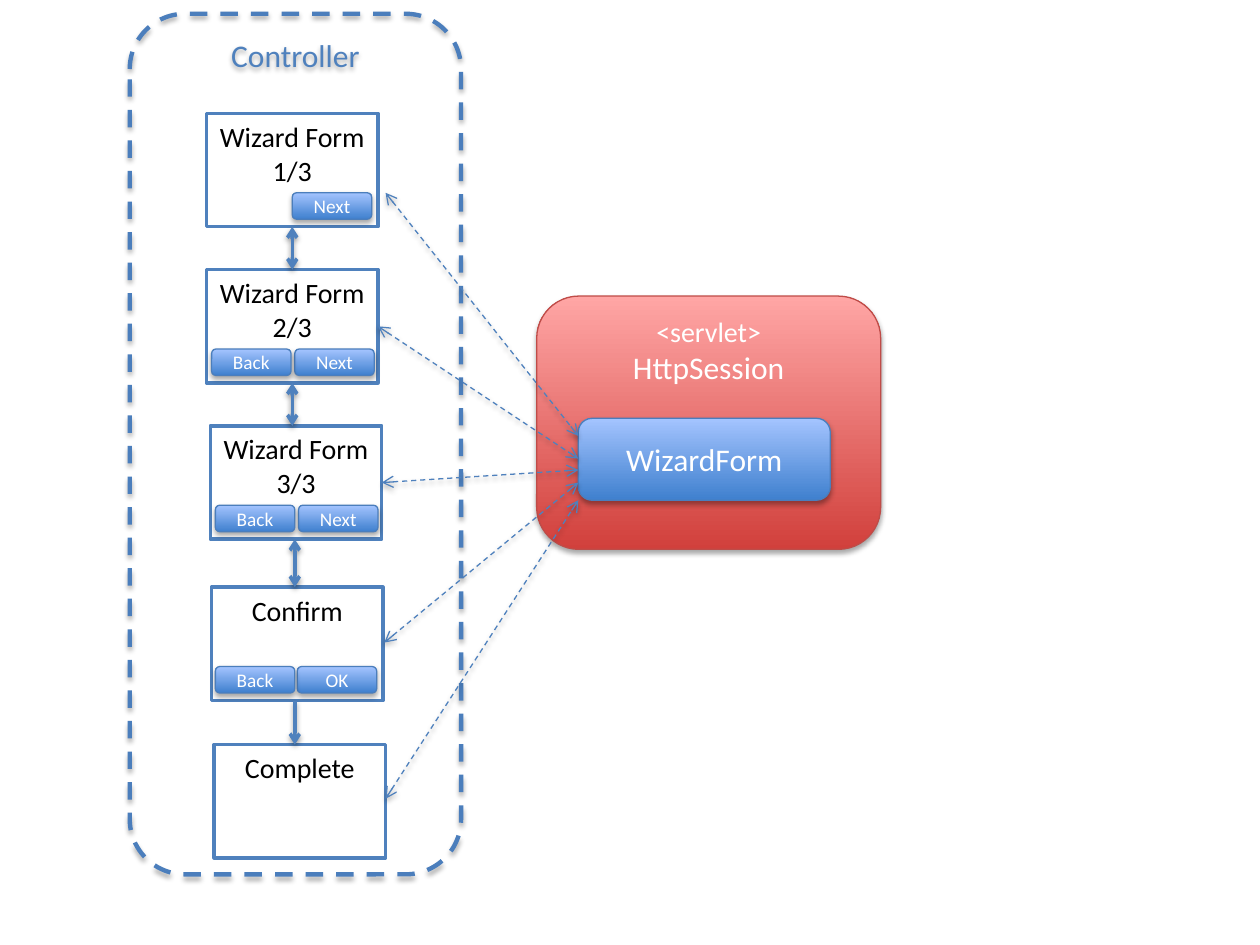
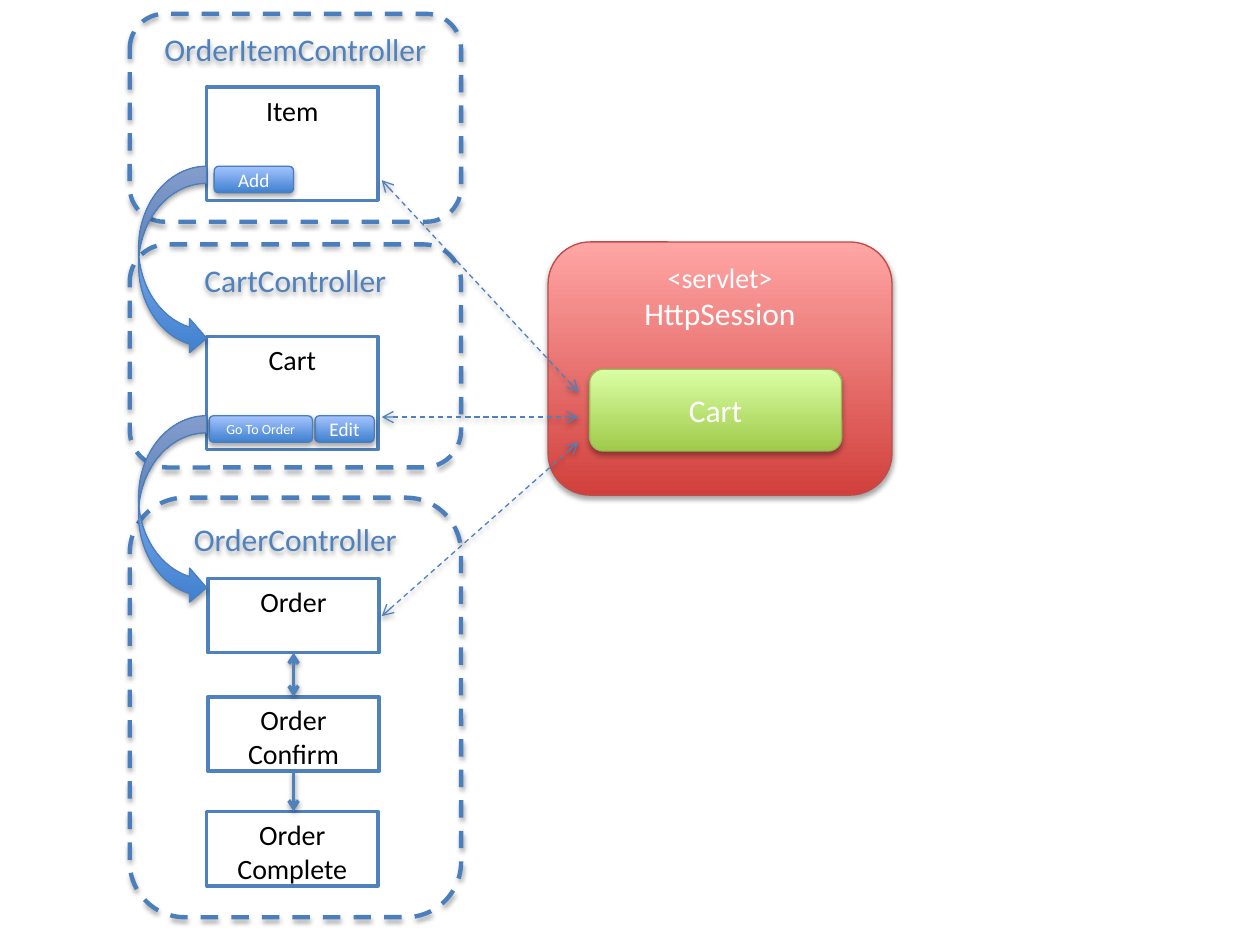
from itertools import pairwise

from lxml.etree import SubElement
from pptx import Presentation
from pptx.dml.color import RGBColor
from pptx.enum.dml import MSO_LINE
from pptx.enum.shapes import MSO_CONNECTOR, MSO_SHAPE
from pptx.enum.text import MSO_ANCHOR as Anchor, PP_ALIGN as Align
from pptx.oxml.ns import qn
from pptx.util import Inches, Pt

BLUE = RGBColor(0x4F, 0x81, 0xBD)
EDGE_BLUE = RGBColor(0x4B, 0x7E, 0xBC)
EDGE_RED = RGBColor(0xBF, 0x4C, 0x48)
EDGE_GREEN = RGBColor(0x98, 0xB9, 0x55)
WHITE = RGBColor(0xFF, 0xFF, 0xFF)
BLACK = RGBColor(0, 0, 0)
BLUES = RGBColor(0x3F, 0x80, 0xCE), RGBColor(0xA4, 0xC4, 0xFF)
REDS = RGBColor(0xD1, 0x40, 0x3C), RGBColor(0xFF, 0xA6, 0xA5)
GREENS = RGBColor(0xA0, 0xCA, 0x4A), RGBColor(0xDA, 0xFF, 0xA5)

FONT = "Calibri"
COLUMNS, ROWS = 100, 75
SCREEN_WIDTH = 13.6


class Diagram:
    def __init__(self):
        self.deck = Presentation()
        self.deck.slide_width = Inches(10)
        self.deck.slide_height = Inches(7.5)
        self.page = None

    def new_page(self):
        self.page = self.deck.slides.add_slide(self.deck.slide_layouts[6])

    def x(self, columns):
        return round(self.deck.slide_width * columns / COLUMNS)

    def y(self, rows):
        return round(self.deck.slide_height * rows / ROWS)

    def cast_shadow(self, effects, distance, opacity):
        shadow = SubElement(effects, qn("a:outerShdw"), blurRad=str(Pt(3.1)),
                            dist=str(Pt(distance)), dir="5400000", rotWithShape="0")
        color = SubElement(shadow, qn("a:srgbClr"), val=str(BLACK))
        SubElement(color, qn("a:alpha"), val=str(opacity * 1000))

    def shape(self, preset, place, edge, weight, fill=None, shadow=True):
        left, top, width, height = place
        box = self.page.shapes.add_shape(
            preset, self.x(left), self.y(top), self.x(width), self.y(height))
        box.line.color.rgb = edge
        box.line.width = Pt(weight)
        if fill is None:
            box.fill.background()
        elif isinstance(fill, RGBColor):
            box.fill.solid()
            box.fill.fore_color.rgb = fill
        else:
            box.fill.gradient()
            box.fill.gradient_angle = 90
            for stop, color in zip(box.fill.gradient_stops, fill):
                stop.color.rgb = color
        box.shadow.inherit = False
        if shadow:
            self.cast_shadow(box._element.spPr.find(qn("a:effectLst")), 1.8, 35)
        return box

    def add_lines(self, box, lines, color, anchor=Anchor.TOP):
        frame = box.text_frame
        frame.word_wrap = True
        frame.vertical_anchor = anchor
        for index, (words, size) in enumerate(lines):
            para = frame.add_paragraph() if index else frame.paragraphs[0]
            para.alignment = Align.CENTER
            span = para.add_run()
            span.text = words
            span.font.name = FONT
            span.font.size = Pt(size)
            span.font.color.rgb = color

    def controller(self, title, top, height):
        box = self.shape(MSO_SHAPE.ROUNDED_RECTANGLE, (10.3, top, 26.3, height), EDGE_BLUE, 2.5)
        box.line.dash_style = MSO_LINE.DASH
        self.add_lines(box, [(title, 18)], BLUE)

    def screen(self, left, top, height, lines):
        box = self.shape(MSO_SHAPE.RECTANGLE, (left, top, SCREEN_WIDTH, height),
                         BLUE, 2, WHITE, shadow=False)
        self.add_lines(box, [(line, 16) for line in lines], BLACK)

    def pill(self, label, place, size, fill=BLUES, edge=EDGE_BLUE):
        box = self.shape(MSO_SHAPE.ROUNDED_RECTANGLE, place, edge, 0.75, fill)
        self.add_lines(box, [(label, size)], WHITE, Anchor.MIDDLE)

    def button(self, label, left, screen_top, width=6.3, size=11):
        self.pill(label, (left, screen_top + 6.3, width, 2.1), size)

    def session(self, left, top, label, label_drop, fill, edge):
        box = self.shape(MSO_SHAPE.ROUNDED_RECTANGLE, (left, top, 27.3, 20.1),
                         EDGE_RED, 0.75, REDS)
        self.add_lines(box, [("<servlet>", 16), ("HttpSession", 18)], WHITE)
        self.pill(label, (left + 3.3, top + label_drop, 20, 6.5), 18, fill, edge)

    def jump(self, top):
        self.shape(MSO_SHAPE.CURVED_RIGHT_ARROW, (11, top, 5.4, 15), EDGE_BLUE, 0.75, BLUES)

    def arrow(self, start, end, weight, two_way=True):
        link = self.page.shapes.add_connector(
            MSO_CONNECTOR.STRAIGHT, self.x(start[0]), self.y(start[1]),
            self.x(end[0]), self.y(end[1]))
        link.line.color.rgb = BLUE
        link.line.width = Pt(weight)
        if weight < 1:
            link.line.dash_style = MSO_LINE.DASH
        properties = link._element.spPr
        line = properties.find(qn("a:ln"))
        if two_way:
            SubElement(line, qn("a:headEnd"), type="arrow")
        SubElement(line, qn("a:tailEnd"), type="arrow")
        effects = SubElement(properties, qn("a:effectLst"))
        self.cast_shadow(effects, 1.6, 38)

    def flow(self, column, start, end, two_way=True):
        self.arrow((column, start), (column, end), 2, two_way)

    def binding(self, start, end_row):
        self.arrow(start, (45.9, end_row), 0.75)


def wizard_page(diagram):
    diagram.new_page()
    diagram.controller("Controller", 1.1, 68.3)
    diagram.session(42.6, 23.5, "WizardForm", 9.7, BLUES, EDGE_BLUE)
    height = 9
    screens = [
        (16.4, 9, ["Wizard Form", "1/3"], [("Next", 23.2)]),
        (16.4, 21.4, ["Wizard Form", "2/3"], [("Next", 23.4), ("Back", 16.8)]),
        (16.7, 33.8, ["Wizard Form", "3/3"], [("Next", 23.7), ("Back", 17.1)]),
        (16.8, 46.6, ["Confirm"], [("OK", 23.6), ("Back", 17.1)]),
        (17, 59.1, ["Complete"], []),
    ]
    for left, top, lines, buttons in screens:
        diagram.screen(left, top, height, lines)
        for label, column in buttons:
            diagram.button(label, column, top)
    tops = [screen[1] for screen in screens]
    for column, (upper, lower) in zip((23.2, 23.2, 23.4, 23.4), pairwise(tops)):
        diagram.flow(column, upper + height, lower, two_way=lower != tops[-1])
    starts = [(30.6, 15.3), (30, 25.9), (30.3, 38.3), (30.5, 51), (30.6, 63.4)]
    for start, end_row in zip(starts, (34.6, 36.4, 37.3, 38.3, 39.7)):
        diagram.binding(start, end_row)


def order_page(diagram):
    diagram.new_page()
    diagram.controller("OrderItemController", 1.1, 16.5)
    diagram.session(43.5, 19.2, "Cart", 10.1, GREENS, EDGE_GREEN)
    diagram.controller("CartController", 19.4, 17.7)
    diagram.controller("OrderController", 39.5, 33.3)

    item_top, cart_top = 6.9, 26.7
    diagram.screen(16.4, item_top, 9, ["Item"])
    diagram.button("Add", 17, item_top)
    diagram.screen(16.4, cart_top, 9, ["Cart"])
    diagram.button("Edit", 25, cart_top, 4.7)
    diagram.button("Go To Order", 16.6, cart_top, 8.2, 8)

    height = 5.9
    steps = [
        (16.5, 45.9, ["Order"]),
        (16.5, 55.3, ["Order", "Confirm"]),
        (16.4, 64.4, ["Order", "Complete"]),
    ]
    for left, top, lines in steps:
        diagram.screen(left, top, height, lines)
    tops = [step[1] for step in steps]
    for upper, lower in pairwise(tops):
        diagram.flow(23.3, upper + height, lower, two_way=lower != tops[-1])
    for top in (33, 13.2):
        diagram.jump(top)
    for start_row, end_row in ((14.3, 31.1), (33.1, 33.1), (48.9, 35.1)):
        diagram.binding((30.3, start_row), end_row)


diagram = Diagram()
wizard_page(diagram)
order_page(diagram)
diagram.deck.save("out.pptx")
